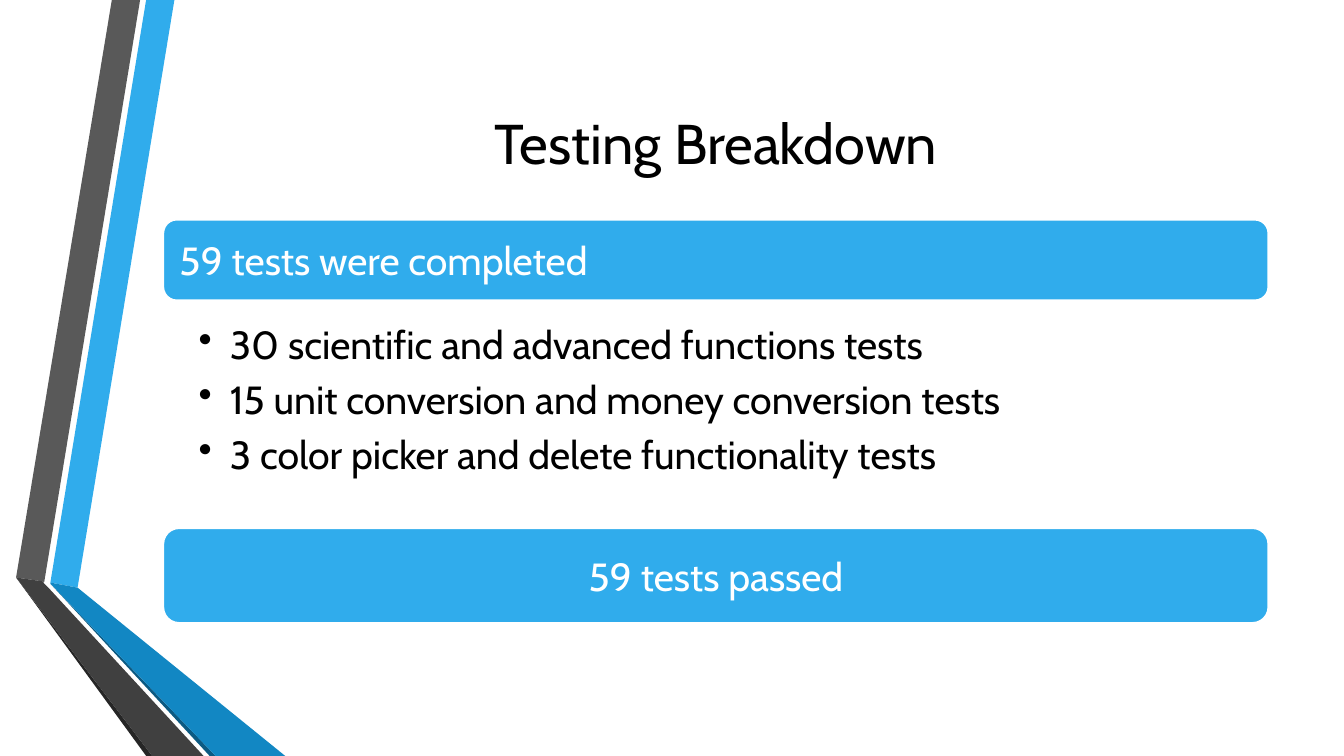
from lxml import etree
from pptx import Presentation
from pptx.dml.color import RGBColor
from pptx.enum import shapes, text
from pptx.oxml import ns
from pptx.util import Inches, Pt

COLORS = {
    "white": "FFFFFF",
    "black": "000000",
    "sky": "30ACEC",
    "blue": "1287C3",
    "navy": "0C5A82",
    "gray": "595959",
    "charcoal": "404040",
    "soot": "262626",
}
FONT = "Cabin"
LEFT, WIDTH = 1.62, 10.96
RIBBONS = [
    ("sky", [(0.5, 5.78), (0.77, 5.83), (1.73, 0), (1.45, 0)]),
    ("gray", [(1.39, 0), (1.11, 0), (0.16, 5.73), (0.44, 5.77)]),
    ("soot", [(0.16, 5.73), (1.45, 7.5), (1.51, 7.5)]),
    ("navy", [(0.5, 5.79), (2.08, 7.5), (2.14, 7.5)]),
    ("blue", [(0.5, 5.79), (2.14, 7.5), (2.83, 7.5), (0.77, 5.83), (0.5, 5.78)]),
    ("charcoal", [(2.02, 7.5), (0.48, 5.83), (0.43, 5.78), (0.44, 5.77),
                  (0.16, 5.73), (1.51, 7.5)]),
]
TESTS = [
    "30 scientific and advanced functions tests",
    "15 unit conversion and money conversion tests",
    "3 color picker and delete functionality tests",
]


def color(name):
    return RGBColor.from_string(COLORS[name])


def apply(target, values):
    for name, value in values.items():
        setattr(target, name, value)


def paint(shape, fill):
    shape.shadow.inherit = False
    shape.fill.solid()
    shape.fill.fore_color.rgb = color(fill)


def format_frame(frame, anchor, insets):
    sides = ("left", "top", "right", "bottom")
    values = {f"margin_{side}": Inches(inset) for side, inset in zip(sides, insets)}
    apply(frame, {"word_wrap": True, "vertical_anchor": anchor, **values})


def write(para, words, size, ink, align=text.PP_ALIGN.LEFT):
    para.alignment = align
    span = para.add_run()
    span.text = words
    apply(span.font, {"name": FONT, "size": Pt(size)})
    span.font.color.rgb = color(ink)


def add_ribbon(page, fill, points):
    corners = [(Inches(x), Inches(y)) for x, y in points]
    builder = page.shapes.build_freeform(*corners[0], scale=1.0)
    builder.add_line_segments(corners[1:], close=True)
    ribbon = builder.convert_to_shape()
    paint(ribbon, fill)
    ribbon.line.fill.background()


def add_title(page, words):
    box = page.shapes.add_textbox(Inches(LEFT), Inches(0.45), Inches(WIDTH), Inches(1.92))
    format_frame(box.text_frame, text.MSO_ANCHOR.MIDDLE, (0.1, 0.05, 0.1, 0.05))
    write(box.text_frame.paragraphs[0], words, 40, "black", text.PP_ALIGN.CENTER)


def add_bar(page, top, height, words, align):
    bar = page.shapes.add_shape(shapes.MSO_SHAPE.ROUNDED_RECTANGLE, Inches(LEFT),
                                Inches(top), Inches(WIDTH), Inches(height))
    paint(bar, "sky")
    bar.line.color.rgb = color("white")
    bar.line.width = Pt(1.25)
    format_frame(bar.text_frame, text.MSO_ANCHOR.MIDDLE, (0.12,) * 4)
    write(bar.text_frame.paragraphs[0], words, 28, "white", align)


def add_bullets(page, items):
    box = page.shapes.add_textbox(Inches(LEFT), Inches(3.14), Inches(WIDTH), Inches(2.1))
    frame = box.text_frame
    format_frame(frame, text.MSO_ANCHOR.TOP, (0.35, 0.04, 0.22, 0.04))
    for index, item in enumerate(items):
        para = frame.add_paragraph() if index else frame.paragraphs[0]
        apply(para, {"level": 1, "space_after": Pt(5.6)})
        props = para._p.get_or_add_pPr()
        props.set("marL", str(Inches(0.31)))
        props.set("indent", str(-Inches(0.31)))
        etree.SubElement(props, ns.qn("a:buChar")).set("char", "•")
        write(para, item, 28, "black")


def main():
    deck = Presentation()
    apply(deck, {"slide_width": Inches(13.33), "slide_height": Inches(7.5)})
    page = deck.slides.add_slide(deck.slide_layouts[6])
    for fill, points in RIBBONS:
        add_ribbon(page, fill, points)
    add_title(page, "Testing Breakdown")
    add_bar(page, 2.18, 0.8, "59 tests were completed", text.PP_ALIGN.LEFT)
    add_bullets(page, TESTS)
    add_bar(page, 5.24, 0.94, "59 tests passed", text.PP_ALIGN.CENTER)
    deck.save("out.pptx")


if __name__ == "__main__":
    main()
